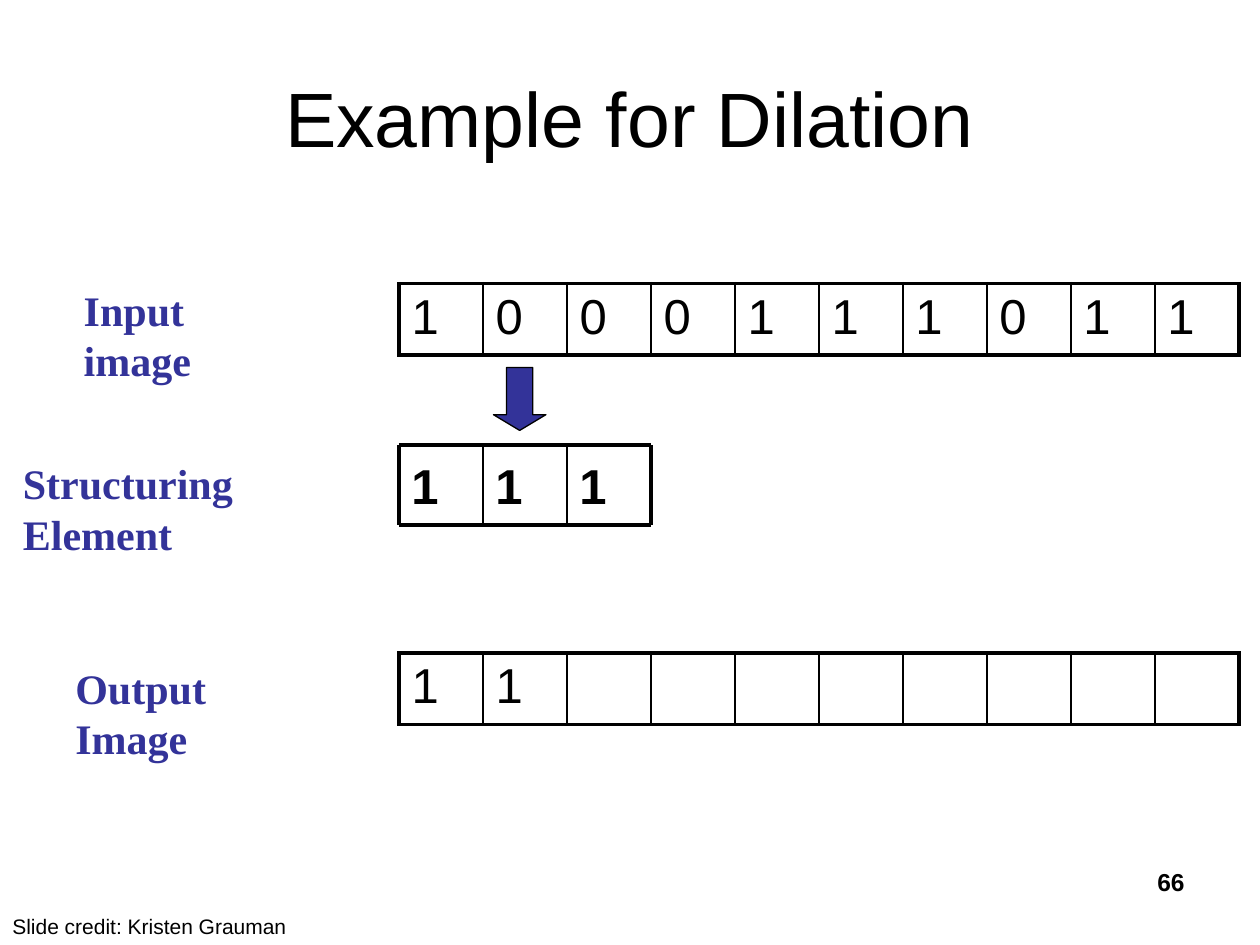
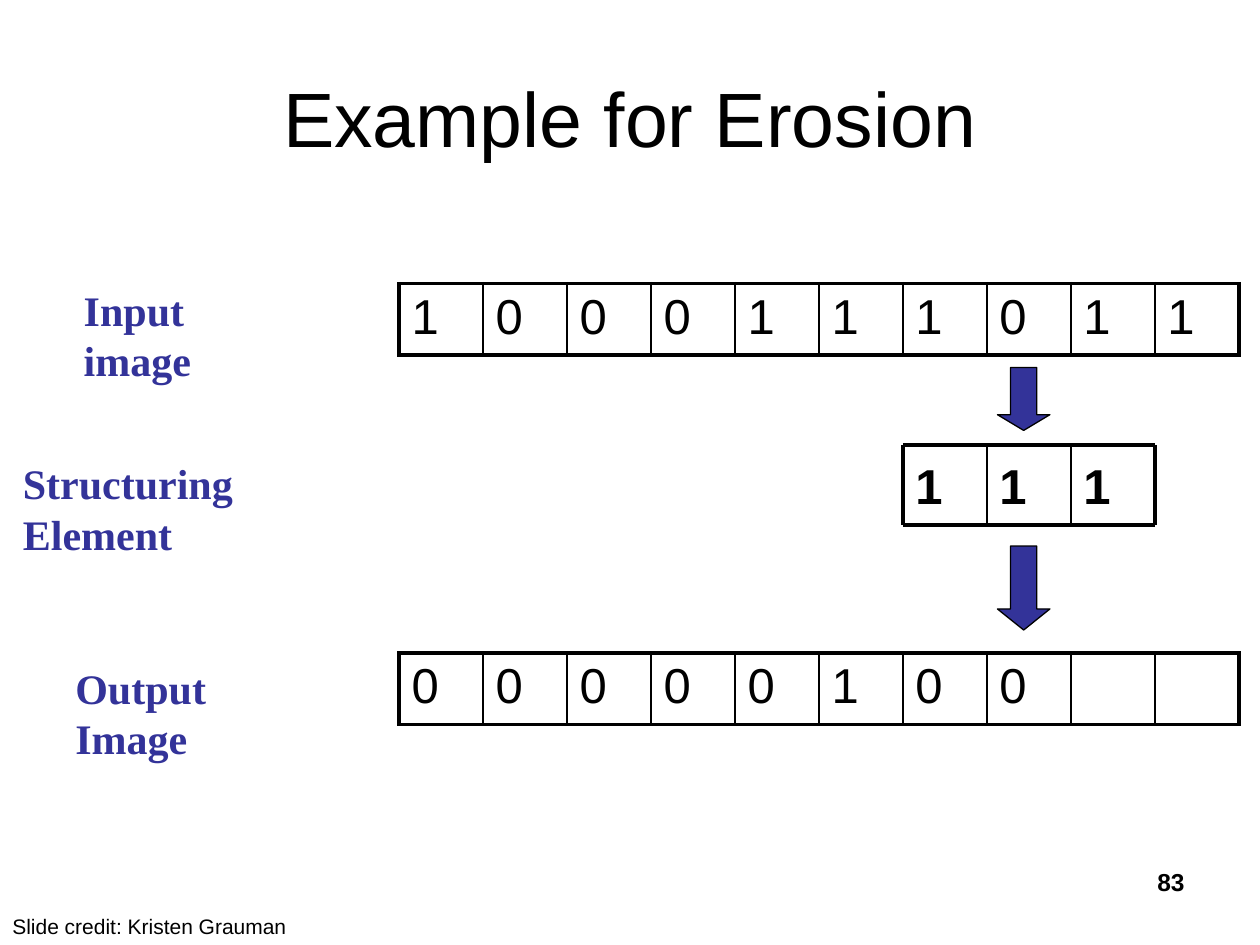
from dataclasses import dataclass

from lxml import etree
from pptx import Presentation
from pptx.dml.color import RGBColor
from pptx.enum.shapes import MSO_CONNECTOR, MSO_SHAPE
from pptx.enum.text import MSO_ANCHOR, PP_ALIGN
from pptx.oxml.ns import qn
from pptx.util import Emu, Pt

PX = 7620
LEFT, CENTER, RIGHT = PP_ALIGN.LEFT, PP_ALIGN.CENTER, PP_ALIGN.RIGHT
TOP, MIDDLE = MSO_ANCHOR.TOP, MSO_ANCHOR.MIDDLE
STRAIGHT = MSO_CONNECTOR.STRAIGHT
DOWN_ARROW = MSO_SHAPE.DOWN_ARROW


@dataclass(frozen=True)
class TextStyle:
    size: int
    font: str = "Arial"
    color: str = "000000"
    bold: bool = False
    align: PP_ALIGN = LEFT
    anchor: MSO_ANCHOR = TOP
    inset_top: int = 6


@dataclass(frozen=True)
class Theme:
    ink: str = "000000"
    accent: str = "333399"
    outer: float = 2.25
    inner: float = 1
    arrow_line: float = 0.75
    title: TextStyle = TextStyle(44, align=CENTER, anchor=MIDDLE)
    label: TextStyle = TextStyle(24, "Times New Roman", "333399", True)
    pixel: TextStyle = TextStyle(28)
    element: TextStyle = TextStyle(28, bold=True, inset_top=10)
    credit: TextStyle = TextStyle(12)
    page: TextStyle = TextStyle(14, bold=True, align=RIGHT)


@dataclass(frozen=True)
class Box:
    x: int
    y: int
    w: int
    h: int

    def emu(self) -> tuple[Emu, ...]:
        return tuple(Emu(v * PX) for v in (self.x, self.y, self.w, self.h))


@dataclass(frozen=True)
class Label:
    text: str
    box: Box


@dataclass(frozen=True)
class Arrow:
    y: int
    h: int
    head: float


@dataclass(frozen=True)
class Example:
    operation: str
    output: str
    element_column: int
    arrows: tuple[Arrow, ...]
    page: str


THEME = Theme()
CELL_W, ROW_H = 80, 68
ROW_X, INPUT_Y, OUTPUT_Y = 380, 270, 622
ELEMENT_Y, ELEMENT_H = 424, 76
ARROW_W = 50
INPUT = "1000111011"
ELEMENT = "111"
TITLE_BOX = Box(60, 36, 1080, 150)
PAGE_BOX = Box(860, 820, 280, 62)
CREDIT = Label("Slide credit: Kristen Grauman", Box(0, 864, 550, 36))
LABELS = (
    Label("Input image", Box(68, 265, 216, 60)),
    Label("Structuring Element", Box(10, 430, 347, 60)),
    Label("Output Image", Box(60, 625, 245, 60)),
)
TO_ELEMENT = Arrow(350, 60, 0.3)
TO_OUTPUT = Arrow(520, 80, 0.4)
EXAMPLES = (
    Example("Dilation", "11", 0, (TO_ELEMENT,), "66"),
    Example("Erosion", "00000100", 6, (TO_OUTPUT, TO_ELEMENT), "83"),
)


def add_run(tf, text: str, style: TextStyle) -> None:
    p = tf.paragraphs[0]
    p.alignment = style.align
    r = p.add_run()
    r.text = text
    r.font.name = style.font
    r.font.size = Pt(style.size)
    r.font.bold = style.bold
    r.font.color.rgb = RGBColor.from_string(style.color)


def add_text(s, text: str, box: Box, style: TextStyle) -> None:
    tf = s.shapes.add_textbox(*box.emu()).text_frame
    tf.word_wrap = True
    tf.vertical_anchor = style.anchor
    tf.margin_top = Emu(style.inset_top * PX)
    add_run(tf, text, style)


def set_border(cell, side: str, width: float) -> None:
    ln = etree.SubElement(cell._tc.get_or_add_tcPr(), qn(f"a:{side}"), w=str(Pt(width)))
    fill = etree.SubElement(ln, qn("a:solidFill"))
    etree.SubElement(fill, qn("a:srgbClr"), val=THEME.ink)


def add_pixel_row(s, y: int, values: str) -> None:
    count = len(INPUT)
    table = s.shapes.add_table(1, count, *Box(ROW_X, y, count * CELL_W, ROW_H).emu()).table
    table.first_row = False
    table.horz_banding = False
    for i, value in enumerate(values.ljust(count)):
        table.columns[i].width = Emu(CELL_W * PX)
        cell = table.cell(0, i)
        set_border(cell, "lnL", THEME.outer if i == 0 else THEME.inner)
        set_border(cell, "lnR", THEME.outer if i == count - 1 else THEME.inner)
        set_border(cell, "lnT", THEME.outer)
        set_border(cell, "lnB", THEME.outer)
        cell.fill.background()
        if value.strip():
            add_run(cell.text_frame, value, THEME.pixel)


def add_line(s, x1: int, y1: int, x2: int, y2: int, width: float) -> None:
    line = s.shapes.add_connector(STRAIGHT, *(Emu(v * PX) for v in (x1, y1, x2, y2)))
    line.line.color.rgb = RGBColor.from_string(THEME.ink)
    line.line.width = Pt(width)
    etree.SubElement(line._element.spPr, qn("a:effectLst"))


def add_element(s, x: int) -> None:
    count = len(ELEMENT)
    bottom = ELEMENT_Y + ELEMENT_H
    for i, value in enumerate(ELEMENT):
        add_text(s, value, Box(x + i * CELL_W, ELEMENT_Y, CELL_W, ELEMENT_H), THEME.element)
    for y in (ELEMENT_Y, bottom):
        add_line(s, x, y, x + count * CELL_W, y, THEME.outer)
    for i in range(count + 1):
        edge = x + i * CELL_W
        add_line(s, edge, ELEMENT_Y, edge, bottom, THEME.outer if i in (0, count) else THEME.inner)


def add_arrow(s, center: int, arrow: Arrow) -> None:
    box = Box(center - ARROW_W // 2, arrow.y, ARROW_W, arrow.h)
    sp = s.shapes.add_shape(DOWN_ARROW, *box.emu())
    sp.adjustments[0] = 0.5
    sp.adjustments[1] = arrow.head
    sp.shadow.inherit = False
    sp.fill.solid()
    sp.fill.fore_color.rgb = RGBColor.from_string(THEME.accent)
    sp.line.color.rgb = RGBColor.from_string(THEME.ink)
    sp.line.width = Pt(THEME.arrow_line)


def add_example(prs, example: Example) -> None:
    s = prs.slides.add_slide(prs.slide_layouts[6])
    add_text(s, f"Example for {example.operation}", TITLE_BOX, THEME.title)
    add_pixel_row(s, INPUT_Y, INPUT)
    add_pixel_row(s, OUTPUT_Y, example.output)
    for label in LABELS:
        add_text(s, label.text, label.box, THEME.label)
    element_x = ROW_X + example.element_column * CELL_W
    add_element(s, element_x)
    for arrow in example.arrows:
        add_arrow(s, element_x + 115, arrow)
    add_text(s, CREDIT.text, CREDIT.box, THEME.credit)
    add_text(s, example.page, PAGE_BOX, THEME.page)


def main() -> None:
    prs = Presentation()
    prs.slide_width = Emu(1200 * PX)
    prs.slide_height = Emu(900 * PX)
    for example in EXAMPLES:
        add_example(prs, example)
    prs.save("out.pptx")


if __name__ == "__main__":
    main()
